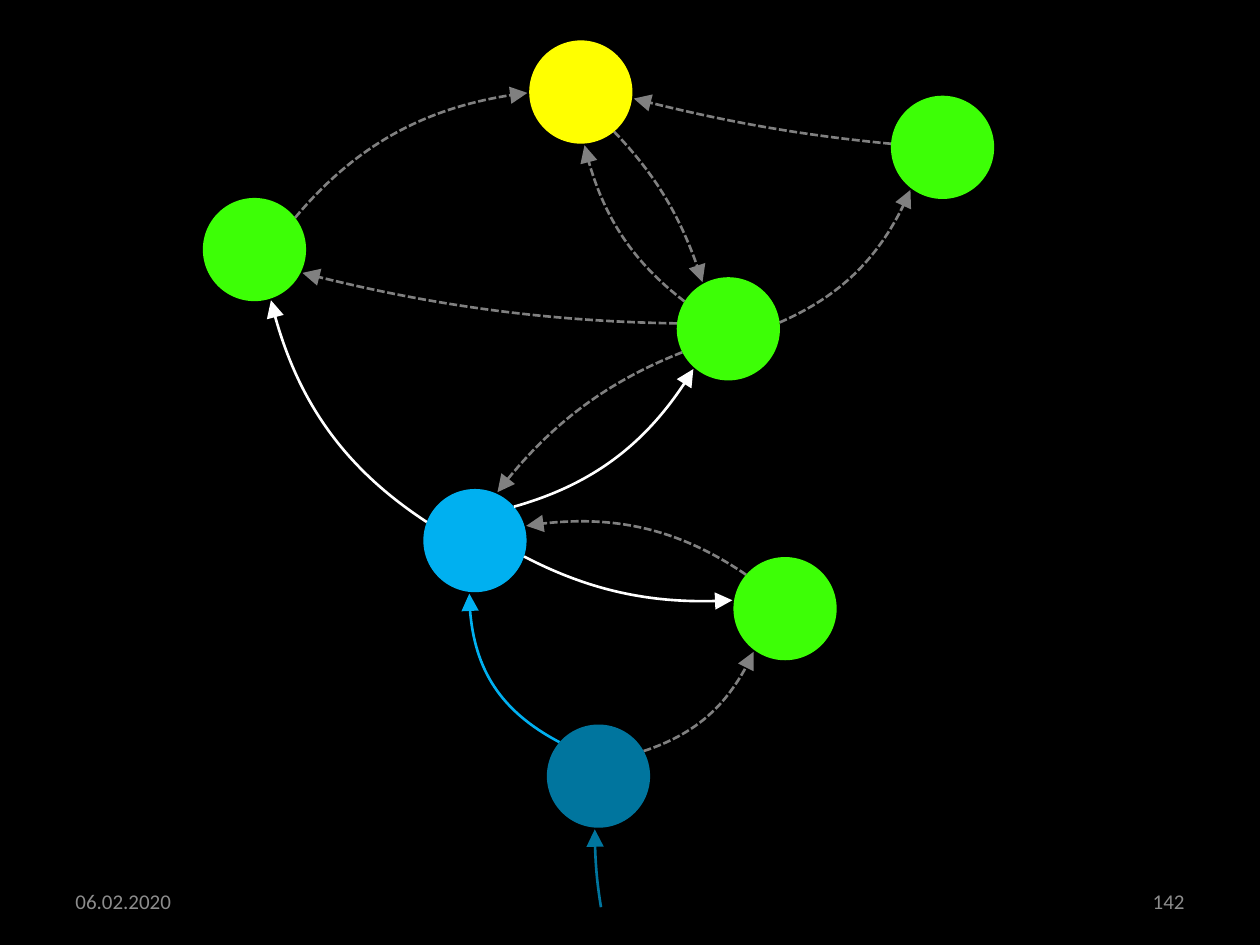
from math import cos, hypot, radians, sin

from lxml.etree import SubElement
from pptx import Presentation
from pptx.dml.color import RGBColor
from pptx.enum.dml import MSO_LINE
from pptx.enum.shapes import MSO_SHAPE
from pptx.enum.text import MSO_ANCHOR, PP_ALIGN
from pptx.oxml.ns import qn
from pptx.util import Pt

BACKGROUND, FOOTER_GREY = "000000", "8C8C8C"
NODE_COLORS = {"start": "00759E", "current": "00B0F0", "open": "3DFF06", "far": "FFFF00"}
EDGE_COLORS = {"entered": "00759E", "taken": "00B0F0", "next": "FFFFFF", "unused": "808080"}
RADIUS = 29.5
ARROW_GAP = 1
ENTRY_POINT = (343.4, 518.4)

# name: center x, center y, role
NODES = {
    "current": (271.4, 308.9, "current"),
    "left": (145.4, 142.6, "open"),
    "right": (538.6, 84.2, "open"),
    "hub": (416.2, 187.9, "open"),
    "lower": (448.6, 347.8, "open"),
    "top": (331.9, 52.6, "far"),
    "start": (342, 443.5, "start"),
}

# source, leaving angle, target, arriving angle, bend to the left, role
EDGES = [
    ("left", -38, "top", 179, 0.10, "unused"),
    ("start", -139, "current", 96, 0.15, "taken"),
    ("start", -29, "lower", 126, -0.11, "unused"),
    ("lower", -139, "current", -16, -0.10, "unused"),
    ("current", 18, "lower", -171, -0.07, "next"),
    ("current", -41, "hub", 131, -0.10, "next"),
    ("hub", -7, "right", 127, -0.10, "unused"),
    ("right", -176, "top", 7, 0.02, "unused"),
    ("entry", 0, "start", 94, 0.02, "entered"),
    ("hub", 153, "current", -65, -0.07, "unused"),
    ("hub", -174, "left", 26, 0.03, "unused"),
    ("current", -159, "left", 72, 0.10, "next"),
    ("hub", -148, "top", 86, 0.09, "unused"),
    ("top", 50, "hub", -119, 0.06, "unused"),
]

FOOTERS = [
    ("06.02.2020", 36, PP_ALIGN.LEFT),
    ("142", 516, PP_ALIGN.RIGHT),
]


def paint(color_format, hex_color):
    color_format.rgb = RGBColor.from_string(hex_color)


def rim_point(name, angle, gap=0):
    if name == "entry":
        return ENTRY_POINT
    center_x, center_y, _ = NODES[name]
    reach = RADIUS + gap
    return center_x + reach * cos(radians(angle)), center_y + reach * sin(radians(angle))


def curve_points(start, end, bend):
    (start_x, start_y), (end_x, end_y) = start, end
    across, down = end_x - start_x, end_y - start_y
    lift = bend * 4 / 3
    controls = [(start_x + across * share + down * lift,
                 start_y + down * share - across * lift) for share in (1 / 3, 2 / 3)]
    return [start, *controls, end]


def add_node(slide, name):
    center_x, center_y, role = NODES[name]
    node = slide.shapes.add_shape(
        MSO_SHAPE.OVAL, Pt(center_x - RADIUS), Pt(center_y - RADIUS),
        Pt(2 * RADIUS), Pt(2 * RADIUS))
    node.shadow.inherit = False
    node.fill.solid()
    paint(node.fill.fore_color, NODE_COLORS[role])
    node.line.fill.background()


def round_off(edge):
    outline = next(edge.element.iter(qn("a:path")))
    curve = SubElement(outline, qn("a:cubicBezTo"))
    for segment in outline.findall(qn("a:lnTo")):
        curve.append(segment[0])
        outline.remove(segment)


def add_edge(slide, source, leaving, target, arriving, bend, role):
    points = curve_points(rim_point(source, leaving),
                          rim_point(target, arriving, ARROW_GAP), bend)
    first, *rest = [(Pt(x), Pt(y)) for x, y in points]
    builder = slide.shapes.build_freeform(*first)
    builder.add_line_segments(rest, close=False)
    edge = builder.convert_to_shape()
    round_off(edge)
    edge.shadow.inherit = False
    edge.fill.background()
    edge.line.width = Pt(1.5)
    paint(edge.line.color, EDGE_COLORS[role])
    if role == "unused":
        edge.line.dash_style = MSO_LINE.SQUARE_DOT
    SubElement(edge.element.spPr.find(qn("a:ln")), qn("a:tailEnd"),
               type="triangle", w="lg", len="lg")


def add_footer(slide, text, left, alignment):
    footer = slide.shapes.add_textbox(Pt(left), Pt(500.4), Pt(168), Pt(28.8))
    frame = footer.text_frame
    frame.word_wrap = True
    frame.vertical_anchor = MSO_ANCHOR.MIDDLE
    frame.text = text
    paragraph = frame.paragraphs[0]
    paragraph.alignment = alignment
    font = paragraph.runs[0].font
    font.name, font.size = "Calibri", Pt(12)
    paint(font.color, FOOTER_GREY)


def main():
    deck = Presentation()
    deck.slide_width, deck.slide_height = Pt(720), Pt(540)
    slide = deck.slides.add_slide(deck.slide_layouts[6])
    slide.background.fill.solid()
    paint(slide.background.fill.fore_color, BACKGROUND)
    for footer in FOOTERS:
        add_footer(slide, *footer)
    behind, *in_front = NODES
    add_node(slide, behind)
    for edge in EDGES:
        add_edge(slide, *edge)
    for name in in_front:
        add_node(slide, name)
    deck.save("out.pptx")


if __name__ == "__main__":
    main()
